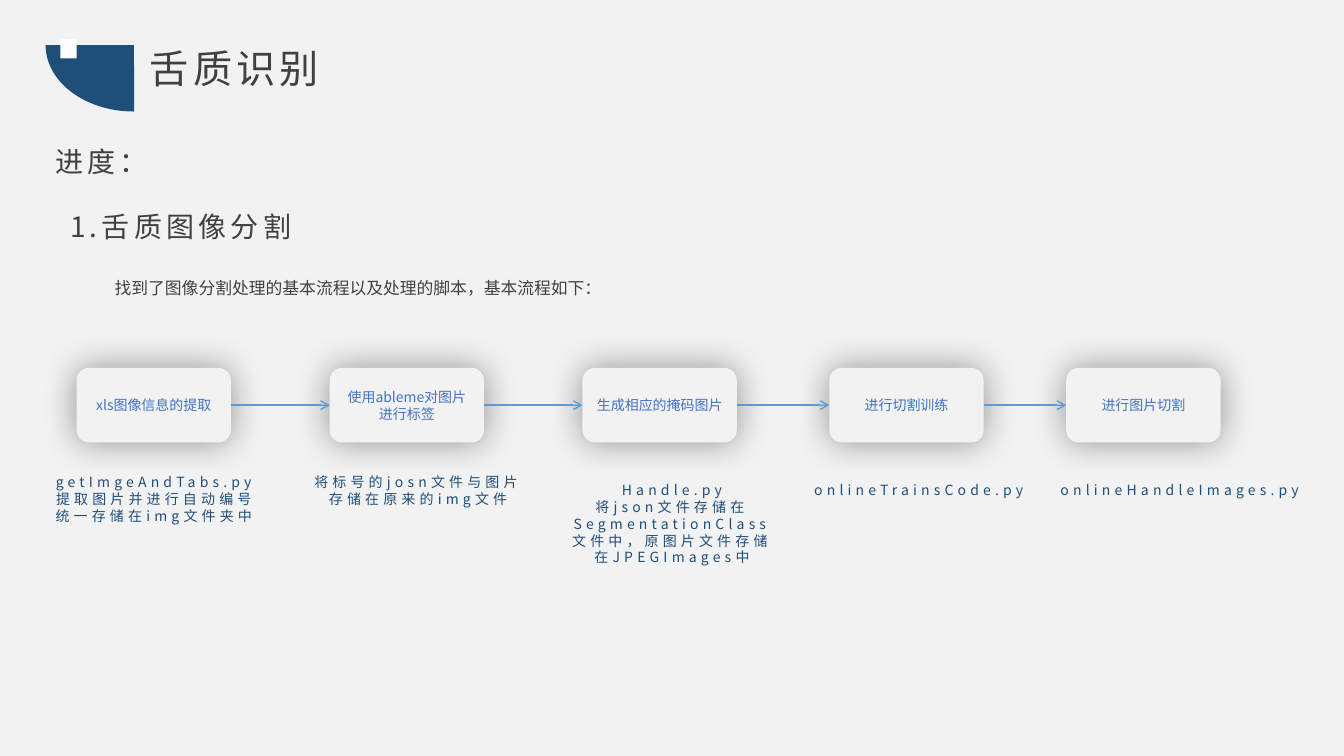
from dataclasses import dataclass

from lxml.etree import SubElement
from pptx import Presentation
from pptx.dml.color import RGBColor
from pptx.enum.shapes import MSO_CONNECTOR, MSO_SHAPE
from pptx.enum.text import MSO_ANCHOR, PP_ALIGN
from pptx.oxml.ns import qn
from pptx.shapes.autoshape import Shape
from pptx.shapes.connector import Connector
from pptx.slide import Slide
from pptx.util import Cm, Pt

FONT = "Noto Sans CJK SC"
BACKGROUND = RGBColor(0xF2, 0xF2, 0xF2)
NAVY = RGBColor(0x1F, 0x4E, 0x79)
WHITE = RGBColor(0xFF, 0xFF, 0xFF)
DARK_GREY = RGBColor(0x40, 0x40, 0x40)
STEP_BLUE = RGBColor(0x44, 0x72, 0xC4)
ARROW_BLUE = RGBColor(0x5B, 0x9B, 0xD5)

STEP_TOP, STEP_WIDTH, STEP_HEIGHT = 9.27, 3.89, 1.88


@dataclass(frozen=True)
class Area:
    left: float
    top: float
    width: float
    height: float

    def lengths(self) -> tuple[Cm, Cm, Cm, Cm]:
        return Cm(self.left), Cm(self.top), Cm(self.width), Cm(self.height)


@dataclass(frozen=True)
class Heading:
    text: str
    area: Area
    size: float
    spacing: float = 3
    line_spacing: float = 1.0


@dataclass(frozen=True)
class Step:
    label: str
    left: float
    caption: str
    caption_area: Area


HEADINGS = [
    Heading("舌质识别", Area(3.53, 0.99, 5.41, 1.45), 28),
    Heading("进度：", Area(1.14, 3.51, 21.69, 1.12), 20),
    Heading("1.舌质图像分割", Area(1.52, 5.16, 15.01, 1.12), 20),
    Heading("找到了图像分割处理的基本流程以及处理的脚本，基本流程如下：",
            Area(2.64, 6.63, 12.95, 1.02), 12, spacing=0, line_spacing=1.5),
]

STEPS = [
    Step("xls图像信息的提取", 1.93,
         "getImgeAndTabs.py\n提取图片并进行自动编号\n统一存储在img文件夹中",
         Area(0.28, 11.81, 7.19, 1.88)),
    Step("使用ableme对图片进行标签", 8.31,
         "将标号的josn文件与图片存储在原来的img文件",
         Area(7.65, 11.81, 5.77, 1.5)),
    Step("生成相应的掩码图片", 14.68,
         "Handle.py\n将json文件存储在SegmentationClass文件中，原图片文件存储在JPEGImages中",
         Area(14.05, 12.01, 5.77, 2.29)),
    Step("进行切割训练", 20.9, "onlineTrainsCode.py",
         Area(20.07, 12.01, 6.17, 1.04)),
    Step("进行图片切割", 26.87, "onlineHandleImages.py",
         Area(26.39, 12.01, 6.68, 1.04)),
]


def write_text(shape: Shape, text: str, *, size: float, color: RGBColor,
               spacing: float = 0, align: PP_ALIGN = PP_ALIGN.LEFT,
               anchor: MSO_ANCHOR = MSO_ANCHOR.TOP,
               line_spacing: float = 1.0) -> None:
    frame = shape.text_frame
    frame.word_wrap = True
    frame.vertical_anchor = anchor
    frame.text = text
    for paragraph in frame.paragraphs:
        paragraph.alignment = align
        paragraph.line_spacing = line_spacing
        for run in paragraph.runs:
            run.font.size = Pt(size)
            run.font.color.rgb = color
            run.font.name = FONT
            properties = run.font._element
            properties.set("spc", str(round(spacing * 100)))
            SubElement(properties, qn("a:ea"), typeface=FONT)


def add_filled(slide: Slide, kind: MSO_SHAPE, area: Area, color: RGBColor) -> Shape:
    shape = slide.shapes.add_shape(kind, *area.lengths())
    shape.shadow.inherit = False
    shape.fill.solid()
    shape.fill.fore_color.rgb = color
    shape.line.fill.background()
    return shape


def add_glow_shadow(shape: Shape) -> None:
    effects = shape.element.spPr.find(qn("a:effectLst"))
    shadow = SubElement(effects, qn("a:outerShdw"), blurRad=str(Pt(25)), dist="0",
                        dir="0", algn="ctr", rotWithShape="0")
    black = SubElement(shadow, qn("a:srgbClr"), val="000000")
    SubElement(black, qn("a:alpha"), val="40000")


def add_emblem(slide: Slide) -> None:
    quarter = add_filled(slide, MSO_SHAPE.PIE, Area(1.7, -1.09, 3.35, 4.45), NAVY)
    quarter.rotation = 270
    quarter.adjustments[0] = 107.8
    quarter.adjustments[1] = 162
    add_filled(slide, MSO_SHAPE.RECTANGLE, Area(1.52, 0.99, 0.41, 0.48), WHITE)


def add_heading(slide: Slide, heading: Heading) -> None:
    write_text(slide.shapes.add_textbox(*heading.area.lengths()), heading.text,
               size=heading.size, color=DARK_GREY, spacing=heading.spacing,
               line_spacing=heading.line_spacing)


def add_step(slide: Slide, step: Step) -> Shape:
    area = Area(step.left, STEP_TOP, STEP_WIDTH, STEP_HEIGHT)
    card = add_filled(slide, MSO_SHAPE.ROUNDED_RECTANGLE, area, BACKGROUND)
    add_glow_shadow(card)
    write_text(card, step.label, size=10, color=STEP_BLUE,
               align=PP_ALIGN.CENTER, anchor=MSO_ANCHOR.MIDDLE)
    caption = slide.shapes.add_textbox(*step.caption_area.lengths())
    write_text(caption, step.caption, size=10, color=NAVY, spacing=3,
               align=PP_ALIGN.CENTER)
    return card


def add_arrow(slide: Slide, source: Shape, target: Shape) -> Connector:
    arrow = slide.shapes.add_connector(MSO_CONNECTOR.STRAIGHT, 0, 0, 0, 0)
    arrow.begin_connect(source, 3)
    arrow.end_connect(target, 1)
    arrow.line.color.rgb = ARROW_BLUE
    arrow.line.width = Pt(1)
    properties = arrow.element.spPr
    SubElement(properties.find(qn("a:ln")), qn("a:tailEnd"), type="arrow")
    SubElement(properties, qn("a:effectLst"))
    return arrow


def main() -> None:
    presentation = Presentation()
    presentation.slide_width = Cm(33.87)
    presentation.slide_height = Cm(19.05)
    slide = presentation.slides.add_slide(presentation.slide_layouts[6])
    slide.background.fill.solid()
    slide.background.fill.fore_color.rgb = BACKGROUND

    add_emblem(slide)
    for heading in HEADINGS:
        add_heading(slide, heading)
    cards = [add_step(slide, step) for step in STEPS]
    for source, target in zip(cards, cards[1:]):
        add_arrow(slide, source, target)

    presentation.save("out.pptx")


if __name__ == "__main__":
    main()
